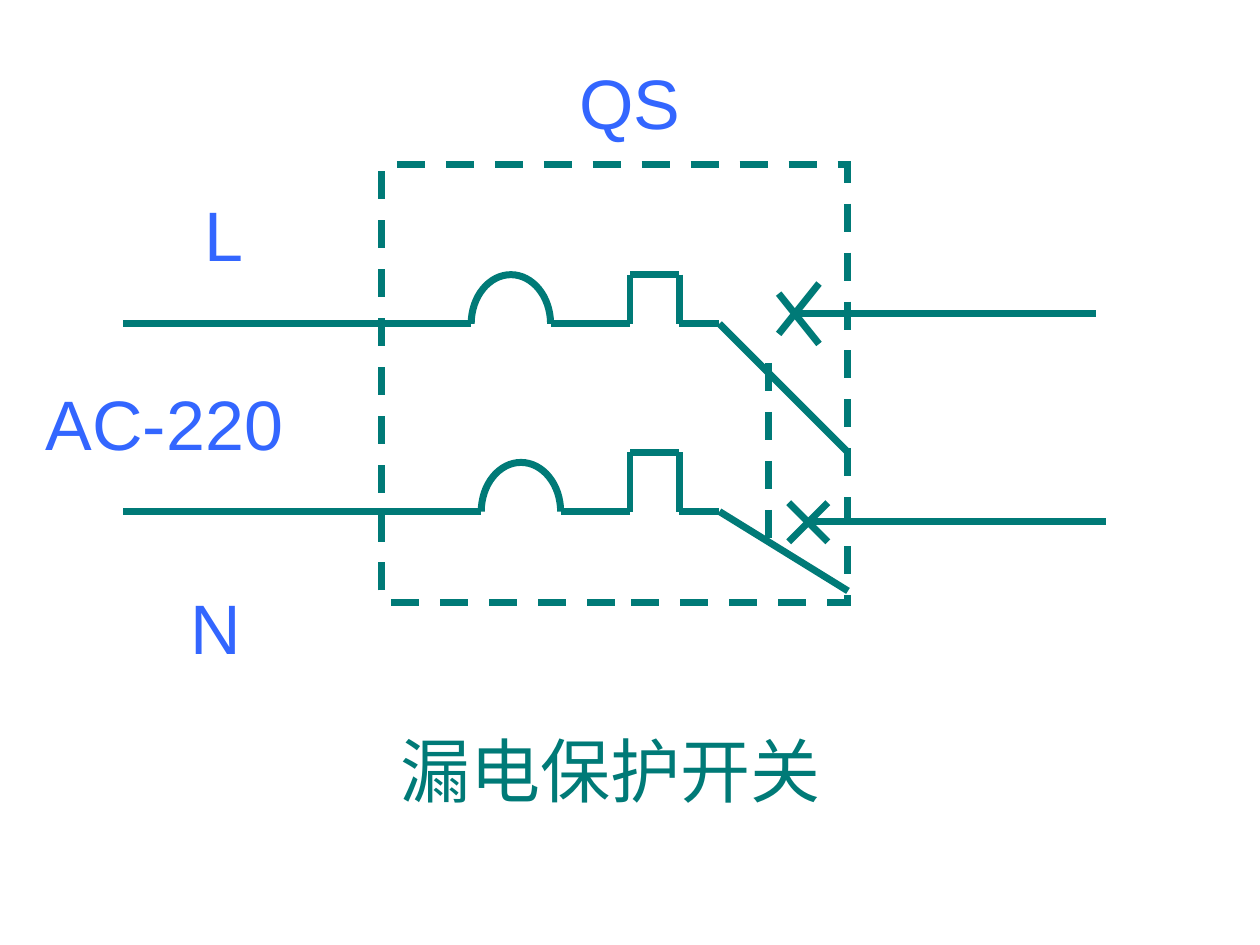
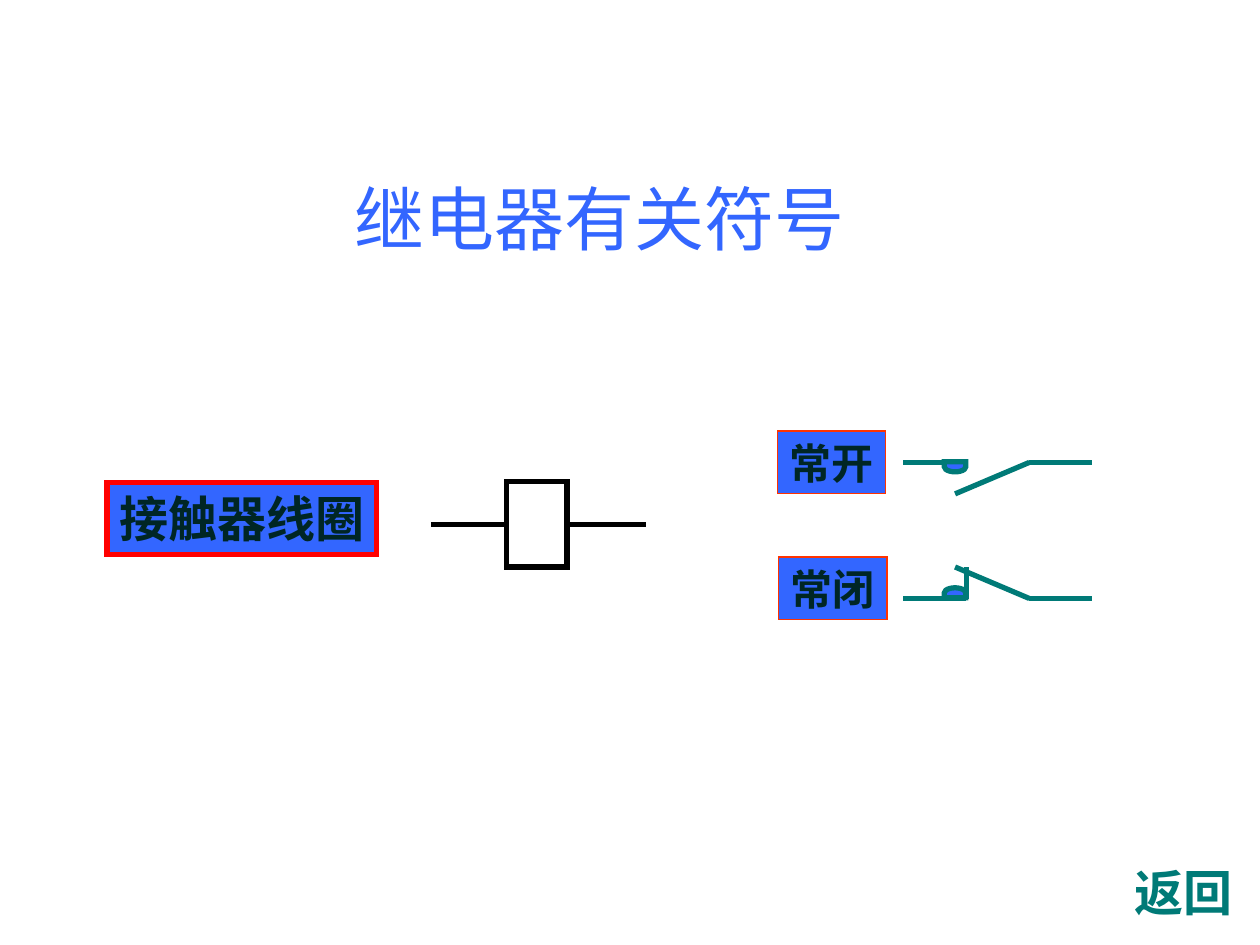
from math import cos, pi, sin

from lxml import etree
from pptx import Presentation
from pptx.dml.color import RGBColor
from pptx.enum.dml import MSO_LINE
from pptx.enum.shapes import MSO_CONNECTOR, MSO_SHAPE
from pptx.enum.text import MSO_ANCHOR, MSO_AUTO_SIZE, PP_ALIGN
from pptx.oxml.ns import qn
from pptx.util import Inches, Pt

STRAIGHT = MSO_CONNECTOR.STRAIGHT
RECTANGLE = MSO_SHAPE.RECTANGLE
DELAY = MSO_SHAPE.FLOWCHART_DELAY
DASH = MSO_LINE.DASH
TOP, MIDDLE = MSO_ANCHOR.TOP, MSO_ANCHOR.MIDDLE
CENTER = PP_ALIGN.CENTER
FIXED = MSO_AUTO_SIZE.NONE

COLORS = {
    "white": "FFFFFF", "black": "000000", "teal": "007A77", "blue": "3366FF",
    "ink": "002625", "red": "FF0000", "orange": "FF3300",
}
CJK_FONT = "Noto Sans CJK SC"
LARGE = {"name": "Arial", "size": Pt(40), "bold": False}
TITLE = {**LARGE, "name": CJK_FONT}
BUTTON = {"name": "Times New Roman", "size": Pt(28), "bold": True}
CONTACT = {**BUTTON, "size": Pt(24)}
CIRCUIT_WIDTH, SYMBOL_WIDTH = 4, 3
TITLE_ONLY = 5


def rgb(color):
    return RGBColor.from_string(COLORS[color])


def inches(values):
    return [Inches(value) for value in values]


def style_line(line, color, width, dash=None):
    line.color.rgb = rgb(color)
    line.width = Pt(width)
    if dash:
        line.dash_style = dash


def add_wire(shapes, start, end, color="teal", width=CIRCUIT_WIDTH, dash=None):
    wire = shapes.add_connector(STRAIGHT, *inches(start + end))
    style_line(wire.line, color, width, dash)
    properties = wire.line._get_or_add_ln().getparent()
    etree.SubElement(properties, qn("a:effectLst"))
    return wire


def add_block(shapes, box, fill, color, width, kind=RECTANGLE, dash=None):
    block = shapes.add_shape(kind, *inches(box))
    block.shadow.inherit = False
    block.fill.solid()
    block.fill.fore_color.rgb = rgb(fill)
    style_line(block.line, color, width, dash)
    corner = etree.SubElement(block.line._get_or_add_ln(), qn("a:miter"))
    corner.set("lim", "800000")
    return block


def write(holder, text, color, font, anchor=MIDDLE):
    frame = holder.text_frame
    frame_format = {
        "word_wrap": False, "auto_size": FIXED, "vertical_anchor": anchor,
        "margin_left": 0, "margin_right": 0,
        "margin_top": Inches(0.05), "margin_bottom": Inches(0.05),
    }
    for name, value in frame_format.items():
        setattr(frame, name, value)
    paragraph = frame.paragraphs[0]
    paragraph.alignment = CENTER
    run = paragraph.add_run()
    run.text = text
    for name, value in font.items():
        setattr(run.font, name, value)
    run.font.color.rgb = rgb(color)
    east_asian = etree.SubElement(run.font._element, qn("a:ea"))
    east_asian.set("typeface", CJK_FONT)


def add_titled_slide(deck, text, box, color, font, anchor=MIDDLE):
    slide = deck.slides.add_slide(deck.slide_layouts[TITLE_ONLY])
    title = slide.shapes.title
    title.left, title.top, title.width, title.height = inches(box)
    write(title, text, color, font, anchor)
    return slide


def add_dome(shapes, left, base, width=0.63, height=0.39, steps=32):
    center = left + width / 2
    points = [
        (Inches(center - width / 2 * cos(pi * step / steps)),
         Inches(base - height * sin(pi * step / steps)))
        for step in range(steps + 1)
    ]
    builder = shapes.build_freeform(*points[0])
    builder.add_line_segments(points[1:], close=False)
    dome = builder.convert_to_shape()
    dome.shadow.inherit = False
    dome.fill.background()
    style_line(dome.line, "teal", CIRCUIT_WIDTH)


def add_pole(shapes, wire_y, dome_left, step_top, blade_y):
    dome_right = dome_left + 0.63
    add_wire(shapes, (0.98, wire_y), (dome_left, wire_y))
    add_dome(shapes, dome_left, wire_y)
    path = [(dome_right, wire_y), (5, wire_y), (5, step_top), (5.39, step_top),
            (5.39, wire_y), (5.71, wire_y), (6.73, blade_y)]
    for start, end in zip(path, path[1:]):
        add_wire(shapes, start, end)


def add_outlet(shapes, left, y, cross_left, cross_right, falling, rising):
    add_wire(shapes, (left, y), (left + 2.36, y))
    for start_y, end_y in (falling, rising):
        add_wire(shapes, (cross_left, start_y), (cross_right, end_y))


def build_leakage_switch(deck):
    slide = add_titled_slide(deck, "漏电保护开关", (3.08, 5.72, 3.53, 0.77), "teal", LARGE)
    shapes = slide.shapes
    add_block(shapes, (3.03, 1.31, 3.7, 3.47), "white", "teal", CIRCUIT_WIDTH, dash=DASH)
    add_pole(shapes, 2.57, 3.74, 2.18, 3.59)
    add_pole(shapes, 4.06, 3.82, 3.59, 4.69)
    add_wire(shapes, (6.1, 2.88), (6.1, 4.3), dash=DASH)
    add_outlet(shapes, 6.34, 2.49, 6.18, 6.5, (2.33, 2.73), (2.65, 2.25))
    add_outlet(shapes, 6.42, 4.14, 6.26, 6.57, (3.99, 4.3), (4.3, 3.99))
    for text, box in (
        ("QS", (4.5, 0.42, 1, 0.77)),
        ("L", (1.52, 1.47, 0.51, 0.77)),
        ("N", (1.41, 4.59, 0.6, 0.77)),
        ("AC-220", (0.2, 2.97, 2.21, 0.77)),
    ):
        terminal = add_block(shapes, box, "white", "white", 0.75)
        write(terminal, text, "blue", LARGE)


def add_coil(shapes):
    symbol = shapes.add_group_shape().shapes
    coil = add_block(symbol, (4.02, 3.82, 0.48, 0.68), "white", "black", SYMBOL_WIDTH)
    left_lead = add_wire(symbol, (3.42, 4.16), (4.02, 4.16), "black", SYMBOL_WIDTH)
    left_lead.end_connect(coil, 1)
    right_lead = add_wire(symbol, (4.5, 4.16), (5.13, 4.16), "black", SYMBOL_WIDTH)
    right_lead.begin_connect(coil, 3)


def add_contact(symbol, text, label_at, wire_y, tip_y, pad_top, rotation):
    for start, end in (
        ((7.17, wire_y), (7.67, wire_y)),
        ((8.17, wire_y), (8.67, wire_y)),
        ((8.17, wire_y), (7.58, tip_y)),
    ):
        add_wire(symbol, start, end, width=SYMBOL_WIDTH)
    pad = add_block(symbol, (7.54, pad_top, 0.08, 0.17), "blue", "teal", SYMBOL_WIDTH, DELAY)
    pad.rotation = rotation
    label = add_block(symbol, label_at + (0.86, 0.5), "blue", "orange", 0.75)
    write(label, text, "ink", CONTACT)


def build_relay_symbols(deck):
    slide = add_titled_slide(deck, "继电器有关符号", (2.71, 1.34, 4.1, 0.85), "blue", TITLE, TOP)
    shapes = slide.shapes
    coil_label = add_block(shapes, (0.85, 3.83, 2.14, 0.57), "blue", "red", SYMBOL_WIDTH)
    write(coil_label, "接触器线圈", "ink", BUTTON, TOP)
    add_coil(shapes)
    contacts = shapes.add_group_shape().shapes
    add_contact(contacts, "常开", (6.17, 3.42), 3.67, 3.92, 3.62, 90)
    add_contact(contacts, "常闭", (6.18, 4.42), 4.75, 4.5, 4.62, 270)
    add_wire(contacts, (7.67, 4.75), (7.67, 4.5), width=SYMBOL_WIDTH)
    back_label = shapes.add_textbox(*inches((8.91, 6.79, 0.97, 0.57)))
    write(back_label, "返回", "teal", BUTTON)


def main():
    deck = Presentation()
    deck.slide_width, deck.slide_height = inches((10, 7.5))
    build_leakage_switch(deck)
    build_relay_symbols(deck)
    deck.save("out.pptx")


if __name__ == "__main__":
    main()
